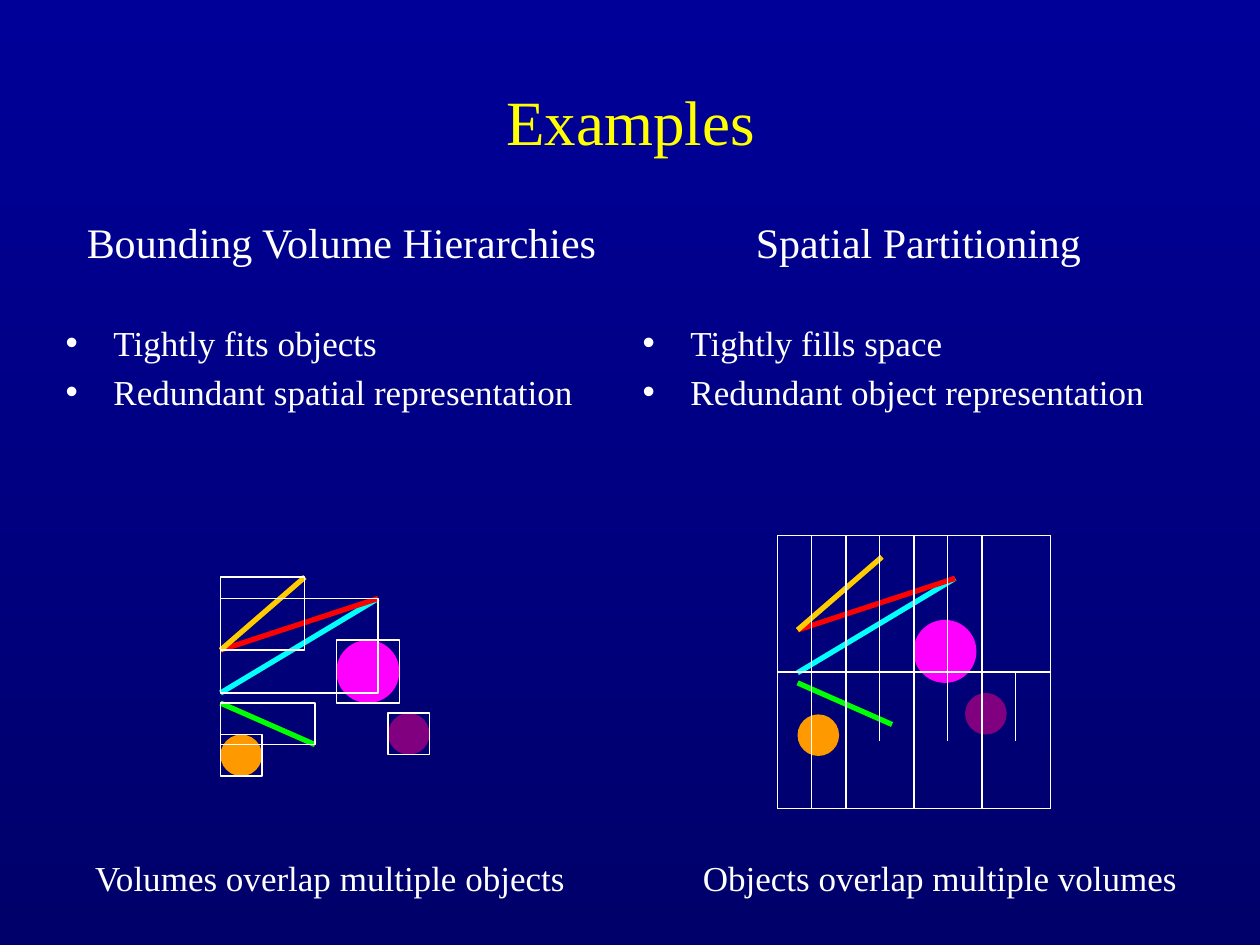
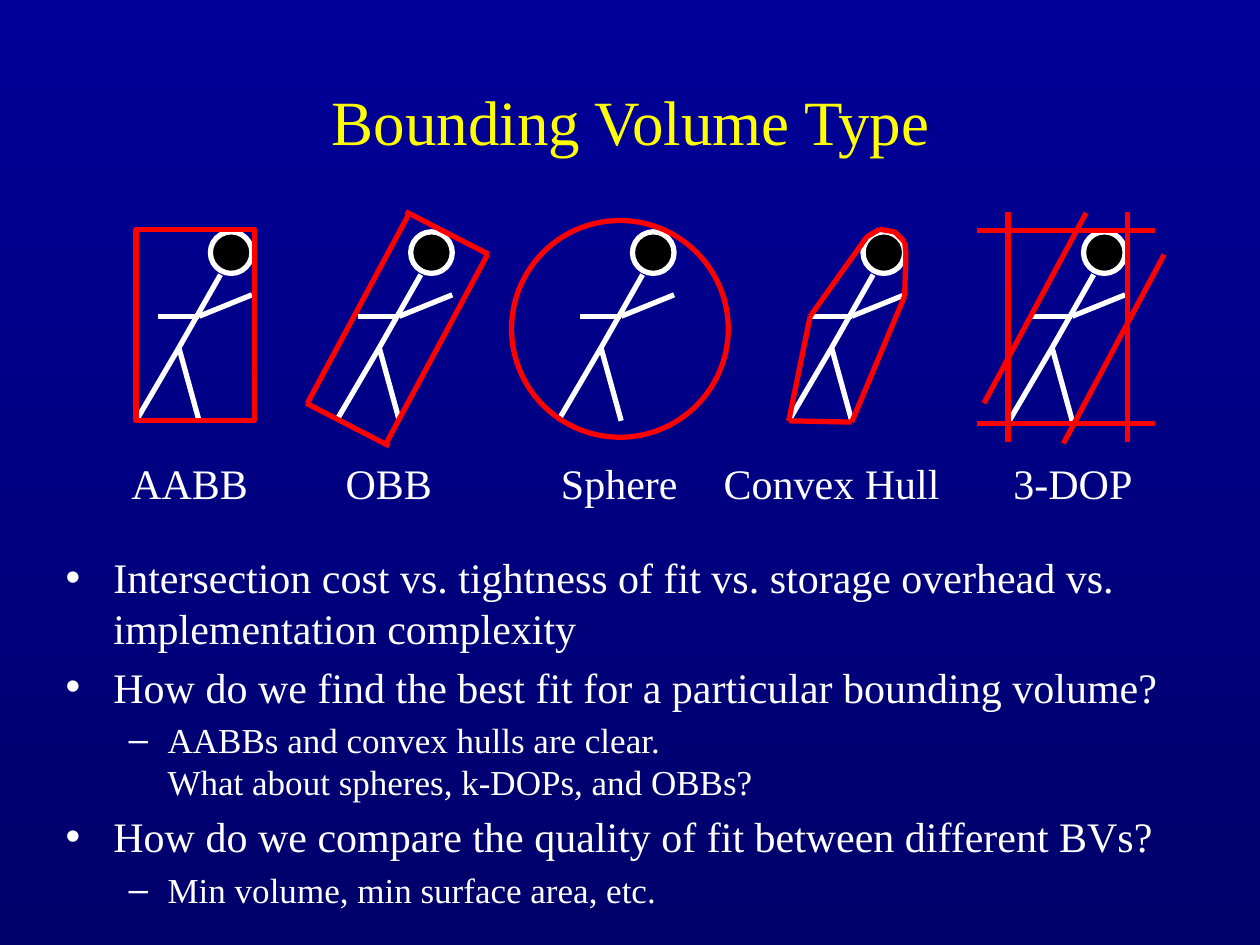
"""Build two slides on bounding volumes and spatial partitioning."""
from lxml import etree
from pptx import Presentation
from pptx import util as u
from pptx.dml import color
from pptx.enum import shapes, text
from pptx.oxml import ns

FONT = "Times New Roman"
WHITE, YELLOW, RED, BLACK = "FFFFFF", "FFFF00", "FF0000", "000000"
BACKGROUND = ("000099", "00006B")
TITLE_BOX = (0.42, 0.33, 9.17, 1.25)
THIN, THICK = 0.75, 3
TITLE_SIZE, HEADING_SIZE, DETAIL_SIZE = 36, 24, 20
LEVELS = [
    {"size": HEADING_SIZE, "margin": 0.38, "hanging": 0.38, "bullet": "•"},
    {"size": DETAIL_SIZE, "margin": 0.81, "hanging": 0.31, "bullet": "–"},
]
HEADING = {**LEVELS[0], "bullet": None, "align": text.PP_ALIGN.CENTER}
POINT = {**LEVELS[0], "size": DETAIL_SIZE}
FIRST_POINT = {**POINT, "before": 31}

COLUMNS = [
    {"box": (0.42, 1.67, 4.58, 1.83), "heading": "Bounding Volume Hierarchies",
     "points": ["Tightly fits objects", "Redundant spatial representation"],
     "caption": "Volumes overlap multiple objects", "caption_left": 0.58,
     "scene": (1.75, 4.58)},
    {"box": (5, 1.67, 4.58, 1.83), "heading": "Spatial Partitioning",
     "points": ["Tightly fills space", "Redundant object representation"],
     "caption": "Objects overlap multiple volumes", "caption_left": 5.42,
     "scene": (6.33, 4.42)},
]
SCENE = [
    {"line": (1.25, 0.17, 0, 0.92), "color": "00FFFF", "boxed": True},
    {"disc": (0.92, 0.5, 0.5), "color": "FF00FF", "boxed": True},
    {"line": (0.75, 1.33, 0, 1), "color": "00FF00", "boxed": True},
    {"line": (1.25, 0.17, 0, 0.58), "color": RED, "boxed": False},
    {"line": (0, 0.58, 0.67, 0), "color": "FFCC00", "boxed": True},
    {"disc": (0, 1.25, 0.33), "color": "FF9900", "boxed": True},
    {"disc": (1.33, 1.08, 0.33), "color": "800080", "boxed": True},
]
GRID_LEFT, GRID_TOP, GRID_SIZE = 6.17, 4.25, 2.17
HALF_SPLITS, HALF_GAP = [6.71, 7.79], 0.01
QUARTER_SPLITS = [[6.44, 6.98, 7.52], [6.44, 6.98, 7.52],
                  [6.44, 6.98, 7.52, 8.06], [6.44]]

HEAD = (0.59, 1.84, 0.33)
LIMBS = [(0.67, 2.18, 0.34, 2.76), (0.34, 2.76, 0, 3.34),
         (0.34, 2.76, 0.5, 3.34), (0.5, 2.51, 0.92, 2.34),
         (0.5, 2.51, 0.17, 2.51)]
VOLUMES = [
    {"name": "AABB", "foot": 1.08, "label": (0.92, 1.17),
     "rectangle": (1.08, 1.82, 0.94, 1.52)},
    {"name": "OBB", "foot": 2.67, "label": (2.5, 1.17),
     "lines": [(2.44, 3.2, 3.25, 1.69), (3.07, 3.51, 3.87, 2.02),
               (3.09, 3.54, 2.43, 3.2), (3.88, 2.02, 3.22, 1.68)]},
    {"name": "Sphere", "foot": 4.43, "label": (4.33, 1.17),
     "oval": (4.06, 1.75, 1.72, 1.72)},
    {"name": "Convex Hull", "foot": 6.26, "label": (5.6, 2),
     "hull": [(6.26, 3.34), (6.43, 2.51), (6.88, 1.88), (6.98, 1.82),
              (7.1, 1.84), (7.18, 1.92), (7.19, 2.01), (7.18, 2.35),
              (6.76, 3.35)]},
    {"name": "3-DOP", "foot": 8.01, "label": (7.93, 1.17),
     "lines": [(7.75, 1.83, 9.17, 1.83), (7.75, 3.36, 9.17, 3.36),
               (8, 1.68, 8, 3.51), (8.95, 1.68, 8.95, 3.51),
               (7.81, 3.2, 8.62, 1.69), (8.44, 3.52, 9.24, 2.02)]},
]
QUESTIONS_BOX = (0.42, 4.33, 9.17, 2.92)
QUESTIONS = [
    (0, "Intersection cost vs. tightness of fit vs. storage overhead vs. "
        "implementation complexity"),
    (0, "How do we find the best fit for a particular bounding volume?"),
    (1, "AABBs and convex hulls are clear.\n"
        "What about spheres, k-DOPs, and OBBs?"),
    (0, "How do we compare the quality of fit between different BVs?"),
    (1, "Min volume, min surface area, etc."),
]


def rgb(value):
    """Turn a hex string into a colour."""
    return color.RGBColor.from_string(value)


def inches(values):
    """Turn numbers into lengths."""
    return [u.Inches(value) for value in values]


def set_all(target, values):
    """Set each attribute named in a dict."""
    for name, value in values.items():
        setattr(target, name, value)


def place(shape, box):
    """Move and resize a shape."""
    set_all(shape, dict(zip(("left", "top", "width", "height"), inches(box))))


def format_runs(paragraph, size, hue):
    """Give every run the deck's font."""
    for run in paragraph.runs:
        set_all(run.font, {"name": FONT, "size": u.Pt(size)})
        run.font.color.rgb = rgb(hue)


def set_bullet(paragraph, level):
    """Set the indent and the bullet of a paragraph."""
    properties = paragraph._p.get_or_add_pPr()
    properties.set("marL", str(u.Inches(level["margin"])))
    properties.set("indent", str(-u.Inches(level["hanging"])))
    if level["bullet"] is None:
        etree.SubElement(properties, ns.qn("a:buNone"))
        return
    bullet_color = etree.SubElement(properties, ns.qn("a:buClr"))
    etree.SubElement(bullet_color, ns.qn("a:srgbClr"), val=WHITE)
    etree.SubElement(properties, ns.qn("a:buChar"), char=level["bullet"])


def fill_list(placeholder, box, items):
    """Write (outline level, format, words) items into a body placeholder."""
    place(placeholder, box)
    frame = placeholder.text_frame
    set_all(frame, {"auto_size": text.MSO_AUTO_SIZE.NONE, "word_wrap": True,
                    "vertical_anchor": text.MSO_ANCHOR.TOP})
    for index, (depth, style, words) in enumerate(items):
        paragraph = frame.add_paragraph() if index else frame.paragraphs[0]
        before = style.get("before", style["size"] * 0.2) if index else 0
        set_all(paragraph, {
            "text": words, "level": depth, "space_before": u.Pt(before),
            "alignment": style.get("align", text.PP_ALIGN.LEFT)})
        format_runs(paragraph, style["size"], WHITE)
        set_bullet(paragraph, style)


def add_titled_slide(presentation, layout, words):
    """Add a slide with the shared title style."""
    slide = presentation.slides.add_slide(presentation.slide_layouts[layout])
    title = slide.shapes.title
    place(title, TITLE_BOX)
    set_all(title.text_frame, {"text": words,
                               "vertical_anchor": text.MSO_ANCHOR.MIDDLE})
    paragraph = title.text_frame.paragraphs[0]
    paragraph.alignment = text.PP_ALIGN.CENTER
    format_runs(paragraph, TITLE_SIZE, YELLOW)
    return slide


def add_label(slide, box, words, size):
    """Add a centred line of white text."""
    frame = slide.shapes.add_textbox(*inches(box)).text_frame
    set_all(frame, {"text": words, "word_wrap": True})
    paragraph = frame.paragraphs[0]
    paragraph.alignment = text.PP_ALIGN.CENTER
    format_runs(paragraph, size, WHITE)


def add_line(slide, ends, hue, width):
    """Add a straight line without shadow."""
    line = slide.shapes.add_connector(shapes.MSO_CONNECTOR.STRAIGHT,
                                      *inches(ends))
    line.line.color.rgb = rgb(hue)
    line.line.width = u.Pt(width)
    etree.SubElement(line._element.spPr, ns.qn("a:effectLst"))


def add_outline(slide, kind, box, fill=None, hue=None, width=THIN):
    """Add a preset shape with an optional fill and line."""
    shape = slide.shapes.add_shape(kind, *inches(box))
    shape.shadow.inherit = False
    for part, part_color in ((shape.fill, fill), (shape.line.fill, hue)):
        if part_color:
            part.solid()
            part.fore_color.rgb = rgb(part_color)
        else:
            part.background()
    if hue:
        shape.line.width = u.Pt(width)


def add_rectangle(slide, box, hue=WHITE, width=THIN):
    """Add an unfilled rectangle."""
    add_outline(slide, shapes.MSO_SHAPE.RECTANGLE, box, hue=hue, width=width)


def add_oval(slide, box, **style):
    """Add an oval."""
    add_outline(slide, shapes.MSO_SHAPE.OVAL, box, **style)


def bounds(item):
    """Return the bounding box of a scene object."""
    if "disc" in item:
        left, top, size = item["disc"]
        return left, top, size, size
    x1, y1, x2, y2 = item["line"]
    return min(x1, x2), min(y1, y2), abs(x2 - x1), abs(y2 - y1)


def add_scene(slide, origin):
    """Draw the coloured lines and discs at an origin."""
    x, y = origin
    for item in SCENE:
        if "disc" in item:
            left, top, width, height = bounds(item)
            add_oval(slide, (x + left, y + top, width, height),
                     fill=item["color"])
        else:
            x1, y1, x2, y2 = item["line"]
            add_line(slide, (x + x1, y + y1, x + x2, y + y2),
                     item["color"], THICK)


def add_object_boxes(slide, origin):
    """Draw a tight box around each boxed object."""
    x, y = origin
    for item in SCENE:
        if item["boxed"]:
            left, top, width, height = bounds(item)
            add_rectangle(slide, (x + left, y + top, width, height))


def add_partition(slide):
    """Draw the quadrants and the lines that split them."""
    half, quarter = GRID_SIZE / 2, GRID_SIZE / 4
    add_rectangle(slide, (GRID_LEFT, GRID_TOP, GRID_SIZE, GRID_SIZE))
    for row in range(2):
        top = GRID_TOP + row * half
        for column in range(2):
            add_rectangle(slide, (GRID_LEFT + column * half, top, half, half))
        for split in HALF_SPLITS:
            for x in (split, split + HALF_GAP):
                add_line(slide, (x, top, x, top + half), WHITE, THIN)
    for row, splits in enumerate(QUARTER_SPLITS):
        top = GRID_TOP + row * quarter
        for x in splits:
            add_line(slide, (x, top, x, top + quarter), WHITE, THIN)


def add_figure(slide, foot):
    """Draw a stick figure whose left foot stands at foot."""
    left, top, size = HEAD
    add_oval(slide, (foot + left, top, size, size),
             fill=BLACK, hue=WHITE, width=THICK)
    for x1, y1, x2, y2 in LIMBS:
        add_line(slide, (foot + x1, y1, foot + x2, y2), WHITE, THICK)


def add_volume(slide, volume):
    """Draw the red bounding volume of a figure."""
    if "rectangle" in volume:
        add_rectangle(slide, volume["rectangle"], RED, THICK)
    if "oval" in volume:
        add_oval(slide, volume["oval"], hue=RED, width=THICK)
    hull = volume.get("hull", [])
    edges = [start + end for start, end in zip(hull, hull[1:] + hull[:1])]
    for ends in volume.get("lines", []) + edges:
        add_line(slide, ends, RED, THICK)


def build_examples(presentation):
    """Build the comparison slide."""
    slide = add_titled_slide(presentation, 3, "Examples")
    bodies = list(slide.placeholders)[1:]
    for body, column in zip(bodies, COLUMNS):
        first, *others = column["points"]
        items = [(0, HEADING, column["heading"]), (0, FIRST_POINT, first)]
        items += [(0, POINT, words) for words in others]
        fill_list(body, column["box"], items)
        add_scene(slide, column["scene"])
        add_label(slide, (column["caption_left"], 6.75, 4.08, 0.43),
                  column["caption"], DETAIL_SIZE)
    add_object_boxes(slide, COLUMNS[0]["scene"])
    add_partition(slide)


def build_volume_types(presentation):
    """Build the slide on kinds of bounding volume."""
    slide = add_titled_slide(presentation, 1, "Bounding Volume Type")
    fill_list(slide.placeholders[1], QUESTIONS_BOX,
              [(depth, LEVELS[depth], words) for depth, words in QUESTIONS])
    for volume in VOLUMES:
        add_figure(slide, volume["foot"])
        add_volume(slide, volume)
        left, width = volume["label"]
        add_label(slide, (left, 3.58, width, 0.5), volume["name"],
                  HEADING_SIZE)


def main():
    """Build and save the deck."""
    presentation = Presentation()
    set_all(presentation, {"slide_width": u.Inches(10),
                           "slide_height": u.Inches(7.5)})
    fill = presentation.slide_master.background.fill
    fill.gradient()
    fill.gradient_angle = 270
    for stop, hue in zip(fill.gradient_stops, BACKGROUND):
        stop.color.rgb = rgb(hue)
    build_examples(presentation)
    build_volume_types(presentation)
    presentation.save("out.pptx")


if __name__ == "__main__":
    main()
